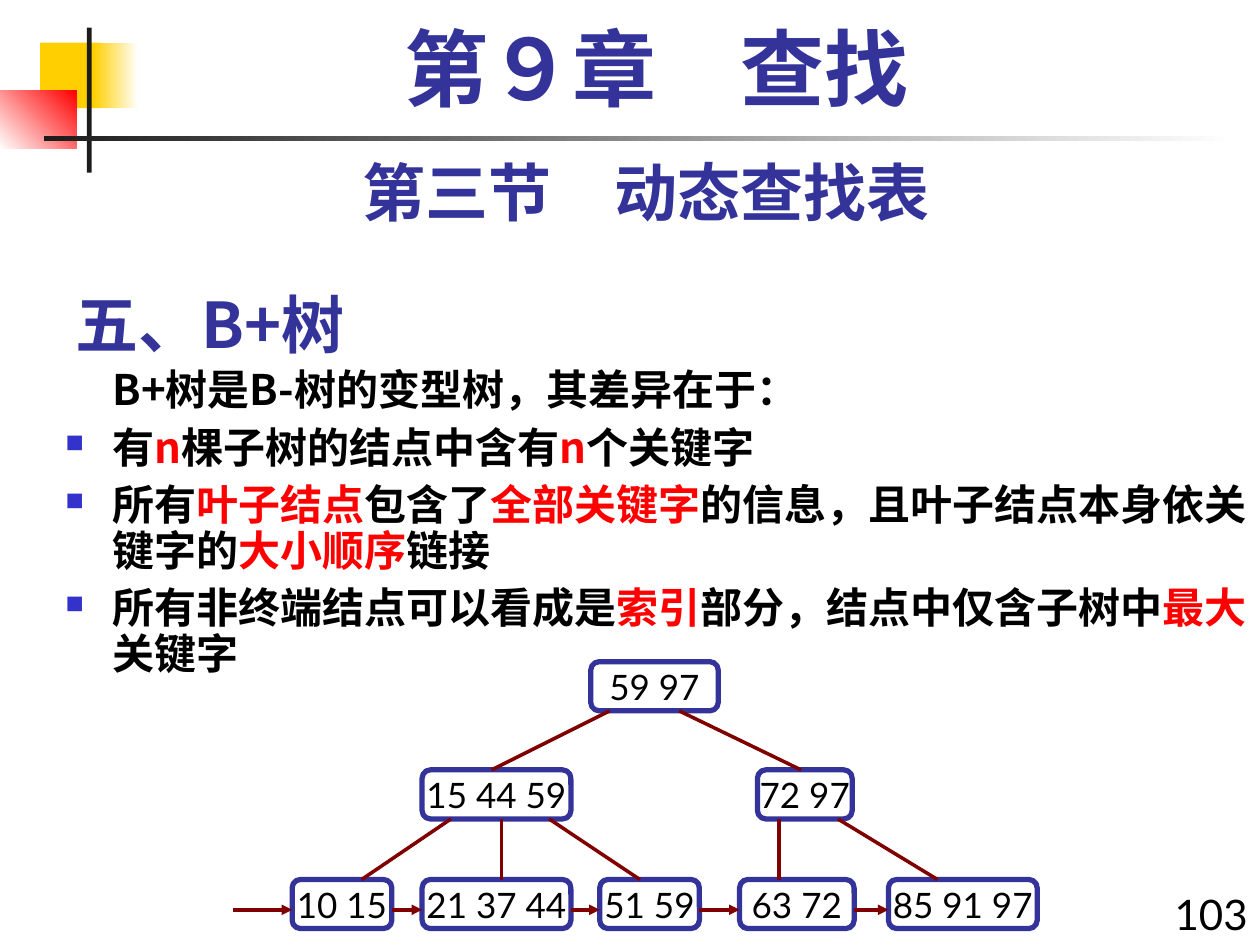
from lxml import etree
from pptx import Presentation
from pptx.dml.color import RGBColor
from pptx.enum.shapes import MSO_CONNECTOR, MSO_SHAPE
from pptx.enum.text import MSO_ANCHOR, MSO_AUTO_SIZE, PP_ALIGN
from pptx.oxml.ns import qn
from pptx.util import Cm, Pt

RECTANGLE = MSO_SHAPE.RECTANGLE
ROUNDED = MSO_SHAPE.ROUNDED_RECTANGLE
STRAIGHT = MSO_CONNECTOR.STRAIGHT
CENTER, RIGHT = PP_ALIGN.CENTER, PP_ALIGN.RIGHT

CJK_FONT = "Noto Sans CJK SC"
NAVY, MAROON, BLACK, RED = "333399", "800000", "000000", "FF0000"
YELLOW, DARK, WHITE = "FFCF01", "1C1C1C", "FFFFFF"
color = RGBColor.from_string


def add_run(para, text, size, ink, font=CJK_FONT, bold=True):
    span = para.add_run()
    span.text = text
    span.font.name, span.font.size, span.font.bold = font, Pt(size), bold
    span.font.color.rgb = color(ink)
    east_asian = etree.Element(qn("a:ea"), typeface=CJK_FONT)
    span.font._element.find(qn("a:latin")).addnext(east_asian)


def add_line(page, x1, y1, x2, y2, arrow=False):
    line = page.shapes.add_connector(STRAIGHT, Cm(x1), Cm(y1), Cm(x2), Cm(y2))
    line.line.color.rgb = color(MAROON)
    line.line.width = Pt(2)
    if arrow:
        etree.SubElement(line.line._get_or_add_ln(), qn("a:tailEnd"), type="triangle")
    etree.SubElement(line._element.spPr, qn("a:effectLst"))


deck = Presentation()
deck.slide_width, deck.slide_height = Cm(25.4), Cm(19.05)
page = deck.slides.add_slide(deck.slide_layouts[5])

# Corner ornament: left, top, width, height, colours, gradient angle
ornament = [
    (0.81, 0.86, 1.22, 1.32, [YELLOW], 0),
    (1.88, 0.86, 0.91, 1.32, [YELLOW, WHITE], 0),
    (0, 1.83, 1.55, 1.17, [WHITE, RED], 45),
    (1.75, 0.56, 0.1, 2.92, [DARK], 0),
    (0.89, 2.74, 24, 0.1, [DARK, WHITE], 0),
]
for left, top, width, height, colors, angle in ornament:
    block = page.shapes.add_shape(RECTANGLE, Cm(left), Cm(top), Cm(width), Cm(height))
    block.shadow.inherit = False
    block.line.fill.background()
    if len(colors) == 1:
        block.fill.solid()
        block.fill.fore_color.rgb = color(colors[0])
    else:
        block.fill.gradient()
        block.fill.gradient_angle = angle
        for stop, shade in zip(block.fill.gradient_stops, colors):
            stop.color.rgb = color(shade)

# Title
title = page.shapes.title
title.left, title.top, title.width, title.height = Cm(1.27), Cm(5.51), Cm(17.35), Cm(1.9)
title.text_frame.auto_size = MSO_AUTO_SIZE.NONE
title.text_frame.vertical_anchor = MSO_ANCHOR.BOTTOM
title_para = title.text_frame.paragraphs[0]
title_para.alignment = PP_ALIGN.LEFT
add_run(title_para, "五、B+树", 36, NAVY)

# Chapter, section and page number
labels = [
    ("第９章　查找", 1.7, 0.43, 23.06, 2.11, CENTER, 48, NAVY, "Times New Roman", True, 0.9),
    ("第三节　动态查找表", 1.27, 2.97, 23.5, 1.78, CENTER, 36, NAVY, "Lato", True, 1),
    ("103", 23.22, 17.78, 2.18, 1.27, RIGHT, 24, BLACK, "Lato", False, 1),
]
for text, left, top, width, height, align, size, ink, font, bold, spacing in labels:
    box = page.shapes.add_textbox(Cm(left), Cm(top), Cm(width), Cm(height))
    box.text_frame.word_wrap = True
    para = box.text_frame.paragraphs[0]
    para.alignment = align
    para.line_spacing = spacing
    add_run(para, text, size, ink, font, bold)

# Body: every second run is a red keyword
body_lines = [
    ["B+树是B-树的变型树，其差异在于："],
    ["有", "n", "棵子树的结点中含有", "n", "个关键字"],
    ["所有", "叶子结点", "包含了", "全部关键字",
     "的信息，且叶子结点本身依关键字的", "大小顺序", "链接"],
    ["所有非终端结点可以看成是", "索引", "部分，结点中仅含子树中", "最大", "关键字"],
]
body = page.shapes.add_textbox(Cm(1.07), Cm(7.32), Cm(24.33), Cm(11.73))
body.text_frame.word_wrap = True
for number, pieces in enumerate(body_lines):
    para = body.text_frame.add_paragraph() if number else body.text_frame.paragraphs[0]
    props = para._p.get_or_add_pPr()
    props.set("marL", str(Cm(0.95)))
    if number:
        props.set("indent", str(-Cm(0.95)))
        bullet_color = etree.SubElement(props, qn("a:buClr"))
        etree.SubElement(bullet_color, qn("a:srgbClr"), val="3333CC")
        etree.SubElement(props, qn("a:buSzPct"), val="60000")
        etree.SubElement(props, qn("a:buChar"), char="■")
        para.space_before = Pt(7)
    para.line_spacing = 0.9
    for index, piece in enumerate(pieces):
        add_run(para, piece, 24, RED if index % 2 else BLACK)

# B+ tree: top of each level, then its nodes as keys, left, width
NODE_HEIGHT = 0.99
ROOT_TOP, INDEX_TOP, LEAF_TOP = 13.34, 15.52, 17.73
leaves = [("10 15", 5.89, 2.01), ("21 37 44", 8.51, 3), ("51 59", 12.09, 2.01),
          ("63 72", 14.91, 2.31), ("85 91 97", 17.91, 3)]
levels = [
    (ROOT_TOP, [("59 97", 11.91, 2.57)]),
    (INDEX_TOP, [("15 44 59", 8.51, 3), ("72 97", 15.27, 1.91)]),
    (LEAF_TOP, leaves),
]
for top, nodes in levels:
    for keys, left, width in nodes:
        node = page.shapes.add_shape(ROUNDED, Cm(left), Cm(top), Cm(width), Cm(NODE_HEIGHT))
        node.shadow.inherit = False
        node.adjustments[0] = 0.17
        node.fill.background()
        node.line.color.rgb = color(NAVY)
        node.line.width = Pt(3)
        node.text_frame.word_wrap = False
        node.text_frame.vertical_anchor = MSO_ANCHOR.MIDDLE
        para = node.text_frame.paragraphs[0]
        para.alignment = CENTER
        add_run(para, keys, 20, BLACK, "Lato", False)

# Branches: parent x, child x
branches = [
    (ROOT_TOP, INDEX_TOP, [(12.29, 9.91), (13.69, 16.15)]),
    (INDEX_TOP, LEAF_TOP, [(9.09, 7.29), (10.11, 10.11), (11.07, 12.9),
                           (15.7, 15.7), (16.89, 18.9)]),
]
for parent_top, child_top, pairs in branches:
    for parent_x, child_x in pairs:
        add_line(page, parent_x, parent_top + NODE_HEIGHT, child_x, child_top)

# Chain of leaves, entered from the left
CHAIN_Y = 18.34
chain_start = 4.7
for keys, left, width in leaves:
    add_line(page, chain_start, CHAIN_Y, left, CHAIN_Y, arrow=True)
    chain_start = left + width

deck.save("out.pptx")
